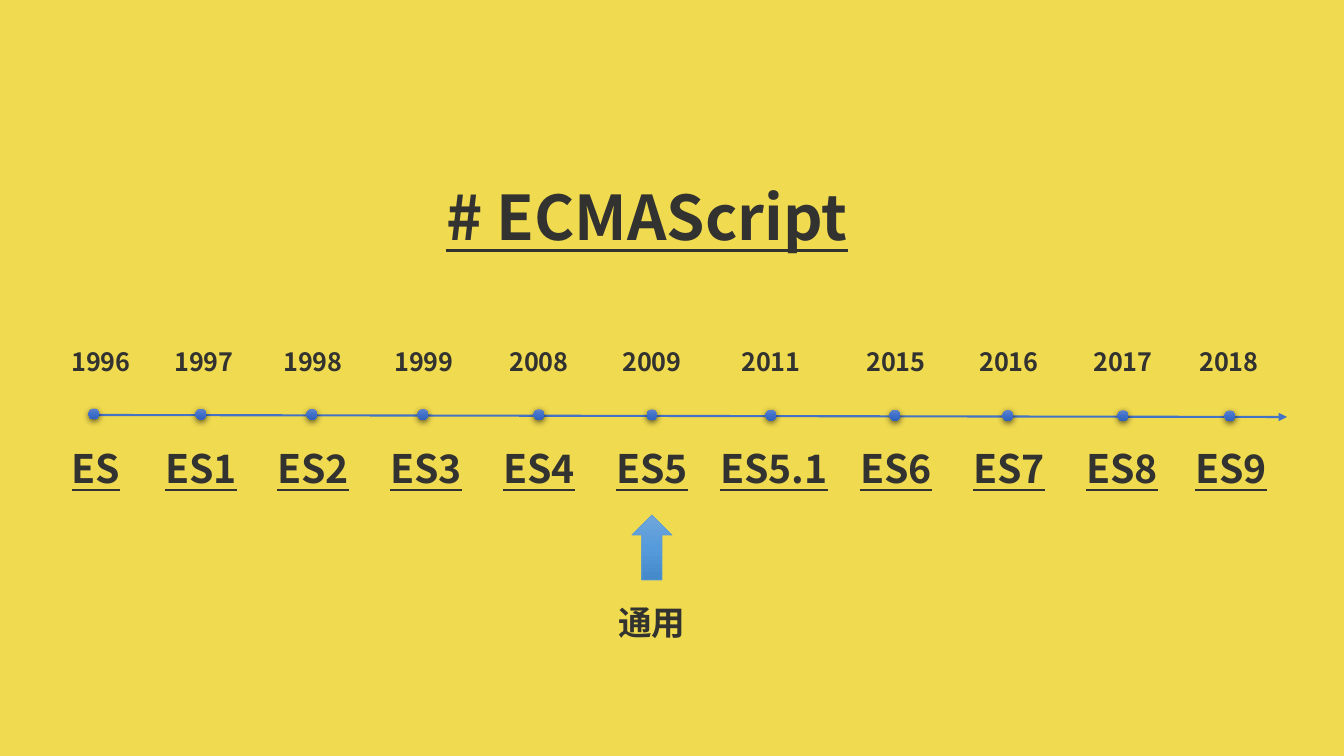
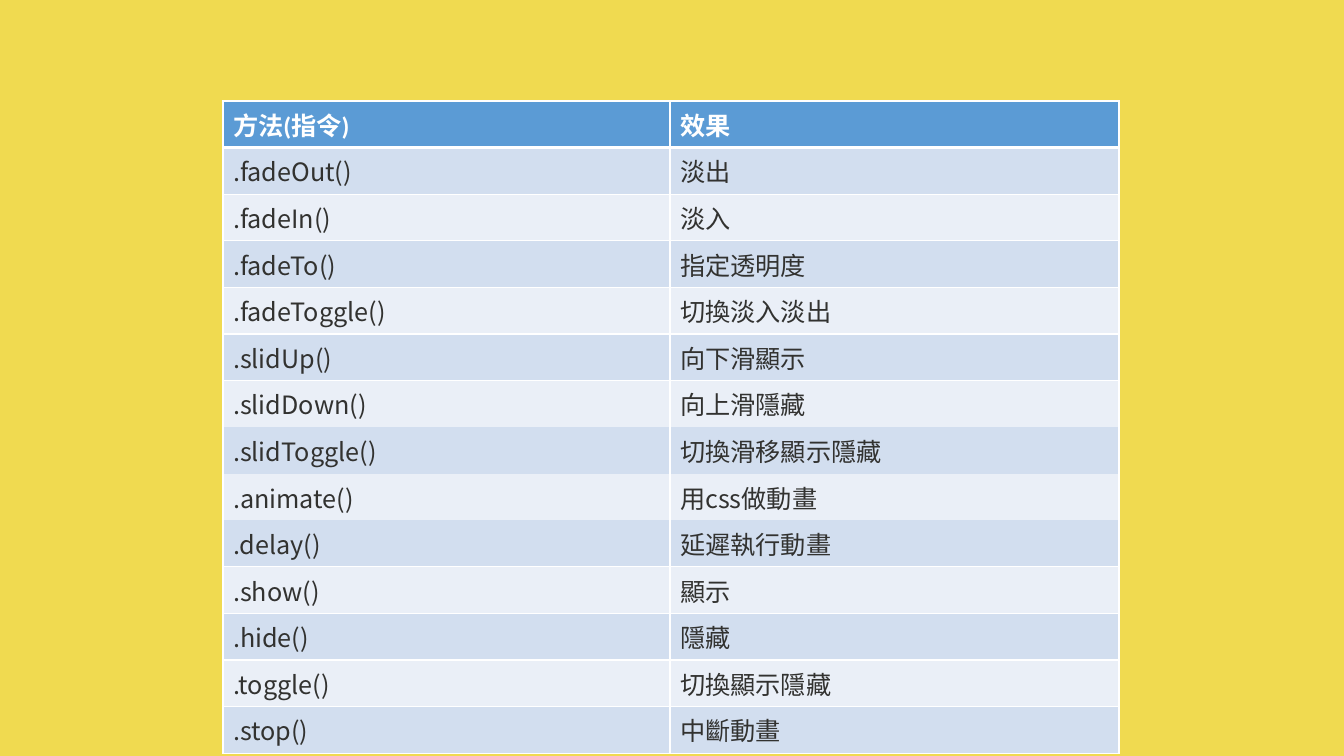
from copy import deepcopy

from lxml import etree
from pptx import Presentation
from pptx.dml.color import RGBColor
from pptx.enum.shapes import MSO_CONNECTOR, MSO_SHAPE
from pptx.enum.text import MSO_ANCHOR, PP_ALIGN
from pptx.oxml.ns import qn
from pptx.util import Emu, Pt

STRAIGHT = MSO_CONNECTOR.STRAIGHT
ELLIPSE, UP_ARROW = MSO_SHAPE.OVAL, MSO_SHAPE.UP_ARROW
MIDDLE, CENTER = MSO_ANCHOR.MIDDLE, PP_ALIGN.CENTER

YELLOW = RGBColor(0xF0, 0xDA, 0x50)
INK = RGBColor(0x32, 0x32, 0x30)
WHITE = RGBColor(0xFF, 0xFF, 0xFF)
AXIS_BLUE = RGBColor(0x44, 0x72, 0xC4)
HEADER_BLUE = RGBColor(0x5B, 0x9B, 0xD5)
BANDS = RGBColor(0xD2, 0xDE, 0xEF), RGBColor(0xEA, 0xEF, 0xF7)
DOT_BLUES = (RGBColor(0x61, 0x83, 0xCB), RGBColor(0x3E, 0x70, 0xCA),
             RGBColor(0x30, 0x62, 0xBB))
ARROW_BLUES = (RGBColor(0x71, 0xA6, 0xDB), RGBColor(0x55, 0x9B, 0xDB),
               RGBColor(0x44, 0x8A, 0xCA))
FONT, HEADER_FONT = "Noto Sans CJK SC", "Calibri"

# year, edition, edition label width, then centres of dot, year and label
MILESTONES = [
    ("1996", "ES", 78, 94, 101, 96),
    ("1997", "ES1", 113, 201, 204, 201),
    ("1998", "ES2", 113, 312, 313, 313),
    ("1999", "ES3", 113, 423, 424, 426),
    ("2008", "ES4", 113, 539, 539, 539),
    ("2009", "ES5", 113, 652, 652, 652),
    ("2011", "ES5.1", 131, 771, 771, 774),
    ("2015", "ES6", 113, 895, 896, 896),
    ("2016", "ES7", 113, 1008, 1009, 1009),
    ("2017", "ES8", 113, 1123, 1123, 1122),
    ("2018", "ES9", 113, 1230, 1229, 1231),
]
METHODS = [
    ("方法(指令)", "效果"),
    (".fadeOut()", "淡出"),
    (".fadeIn()", "淡入"),
    (".fadeTo()", "指定透明度"),
    (".fadeToggle()", "切換淡入淡出"),
    (".slidUp()", "向下滑顯示"),
    (".slidDown()", "向上滑隱藏"),
    (".slidToggle()", "切換滑移顯示隱藏"),
    (".animate()", "用css做動畫"),
    (".delay()", "延遲執行動畫"),
    (".show()", "顯示"),
    (".hide()", "隱藏"),
    (".toggle()", "切換顯示隱藏"),
    (".stop()", "中斷動畫"),
]
UNRULED = (6, 7, 8)  # rows without a line below them


def px(n):
    return Emu(round(n * 914400 / 100.8))


def sub(parent, tag, **attrs):
    return etree.SubElement(parent, qn(tag), attrs)


def style_run(r, size, color=INK, bold=True, underline=None, font=FONT):
    f = r.font
    f.size, f.bold, f.underline, f.name = Pt(size), bold, underline, font
    f.color.rgb = color
    sub(r._r.get_or_add_rPr(), "a:ea", typeface=FONT)


def set_text(shape, text, size, underline=None):
    tf = shape.text_frame
    tf.word_wrap, tf.vertical_anchor = True, MIDDLE
    p = tf.paragraphs[0]
    p.text, p.alignment, p.line_spacing = text, CENTER, 0.9
    style_run(p.runs[0], size, underline=underline)


def add_label(s, text, center, top, width, height, size, underline=None):
    box = s.shapes.add_textbox(px(center - width / 2), px(top),
                               px(width), px(height))
    set_text(box, text, size, underline)


def add_gradient_shape(s, kind, box, colors):
    sp = s.shapes.add_shape(kind, *map(px, box))
    sp.shadow.inherit = False
    sp.fill.gradient()
    sp.fill.gradient_angle = 270
    stops = sp._element.spPr.find(qn("a:gradFill")).find(qn("a:gsLst"))
    stops.append(deepcopy(stops[0]))
    for stop, color, position in zip(sp.fill.gradient_stops, colors, (0, 0.5, 1)):
        stop.color.rgb, stop.position = color, position
    sp.line.fill.background()
    return sp


def add_dot(s, x, y, size=11):
    dot = add_gradient_shape(s, ELLIPSE, (x - size / 2, y - size / 2, size, size),
                             DOT_BLUES)
    effects = dot._element.spPr.find(qn("a:effectLst"))
    shadow = sub(effects, "a:outerShdw", blurRad=str(Pt(4.5)), dist=str(Pt(1.5)),
                 dir="5400000", algn="ctr", rotWithShape="0")
    sub(sub(shadow, "a:srgbClr", val="000000"), "a:alpha", val="63000")


def add_axis(s, left, top, width, drop):
    axis = s.shapes.add_connector(STRAIGHT, px(left), px(top),
                                  px(left + width), px(top + drop))
    axis.line.color.rgb, axis.line.width = AXIS_BLUE, Pt(1.5)
    spPr = axis._element.spPr
    sub(spPr.find(qn("a:ln")), "a:tailEnd", type="triangle")
    sub(spPr, "a:effectLst")


def add_timeline(s, left, top, width, drop):
    """Places years above and editions below a slightly falling axis."""
    add_axis(s, left, top, width, drop)
    for year, edition, label_width, dot_x, year_x, label_x in MILESTONES:
        add_label(s, year, year_x, top - 79, 87, 54, 18)
        add_label(s, edition, label_x, top + 15, label_width, 82, 28, True)
        add_dot(s, dot_x, top - 1 + drop * (dot_x - left) / width)


def add_pointer(s, center, top):
    arrow = add_gradient_shape(s, UP_ARROW, (center - 20, top, 40, 65), ARROW_BLUES)
    arrow.line.color.rgb, arrow.line.width = HEADER_BLUE, Pt(0.5)
    add_label(s, "通用", center, top + 83, 118, 54, 24)


def set_borders(cell, row):
    hidden = {"a:lnT": row - 1 in UNRULED, "a:lnB": row in UNRULED}
    tcPr = cell._tc.get_or_add_tcPr()
    for side in ("a:lnL", "a:lnR", "a:lnT", "a:lnB"):
        width = 3 if row == 0 and side == "a:lnB" else 1
        ln = sub(tcPr, side, w=str(Pt(width)))
        if hidden.get(side):
            sub(ln, "a:noFill")
        else:
            sub(sub(ln, "a:solidFill"), "a:srgbClr", val=str(WHITE))


def add_method_table(s, left, top, widths, row_height):
    table = s.shapes.add_table(len(METHODS), len(widths), px(left), px(top),
                               px(sum(widths)),
                               px(row_height * len(METHODS))).table
    for column, width in zip(table.columns, widths):
        column.width = px(width)
    for i, texts in enumerate(METHODS):
        table.rows[i].height = px(row_height)
        for j, text in enumerate(texts):
            cell = table.cell(i, j)
            set_borders(cell, i)
            cell.fill.solid()
            cell.fill.fore_color.rgb = BANDS[(i - 1) % 2] if i else HEADER_BLUE
            cell.text = text
            r = cell.text_frame.paragraphs[0].runs[0]
            if i:
                style_run(r, 18, bold=False)
            else:
                style_run(r, 18, WHITE, font=HEADER_FONT)


def timeline_slide(prs):
    s = prs.slides.add_slide(prs.slide_layouts[5])
    title = s.shapes.title
    title.left, title.top, title.width, title.height = map(px, (194, 165, 906, 112))
    set_text(title, "# ECMAScript", 44, True)
    add_timeline(s, 94, 415, 1193, 2)
    add_pointer(s, 652, 515)


def methods_slide(prs):
    s = prs.slides.add_slide(prs.slide_layouts[6])
    add_method_table(s, 223, 101, (447, 449), 46)


prs = Presentation()
prs.slide_width, prs.slide_height = px(1344), px(756)
background = prs.slide_master.background.fill
background.solid()
background.fore_color.rgb = YELLOW
timeline_slide(prs)
methods_slide(prs)
prs.save("out.pptx")
